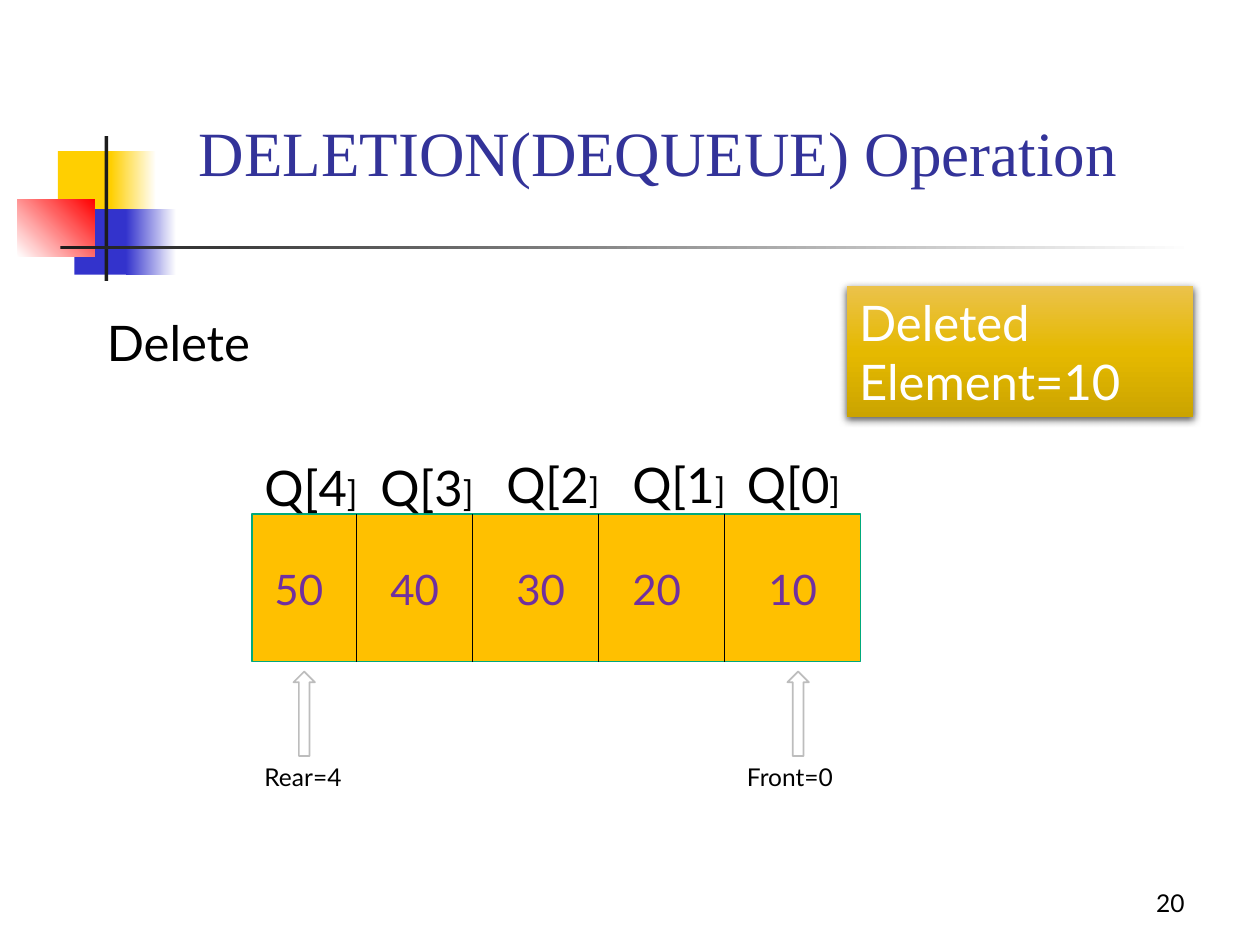
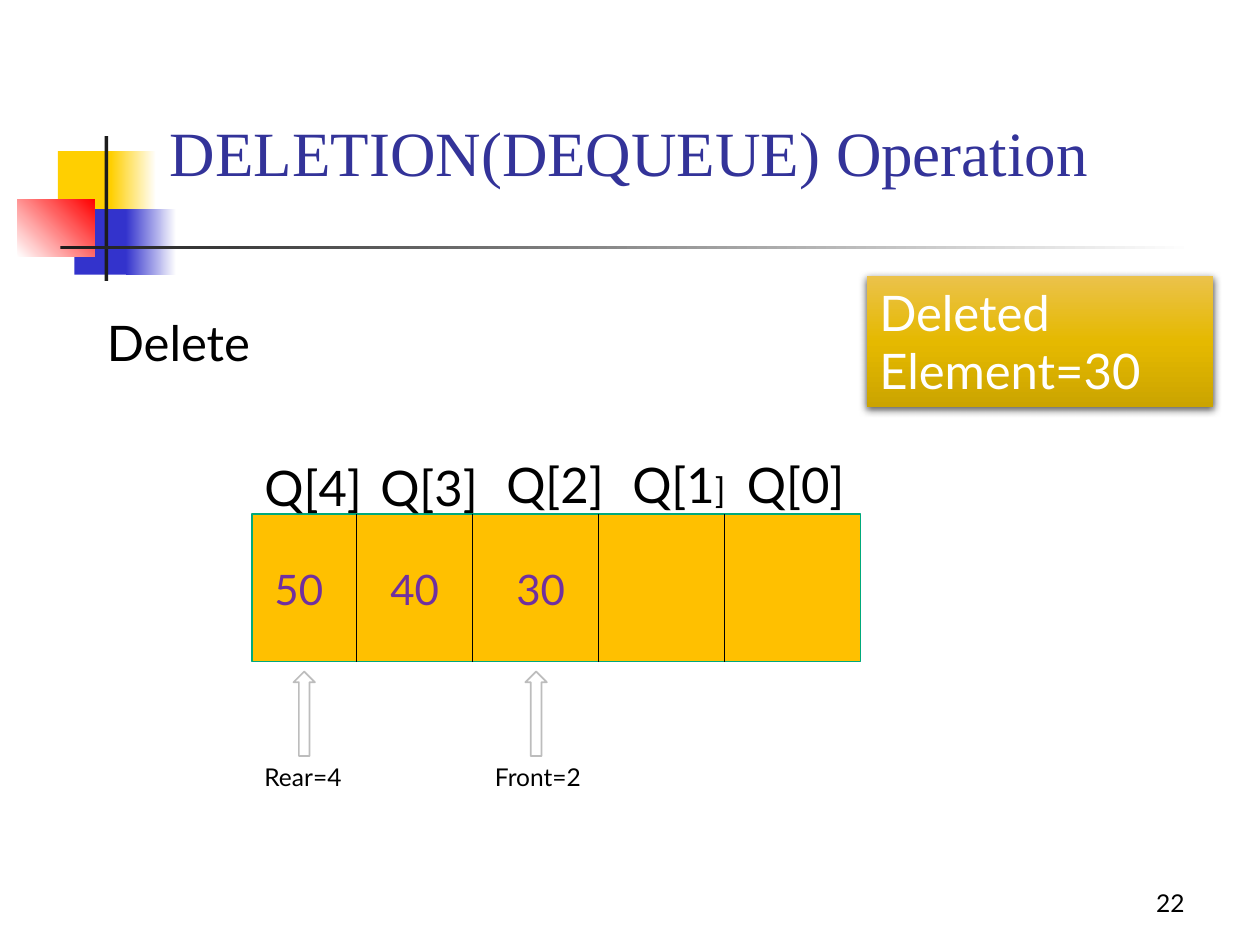
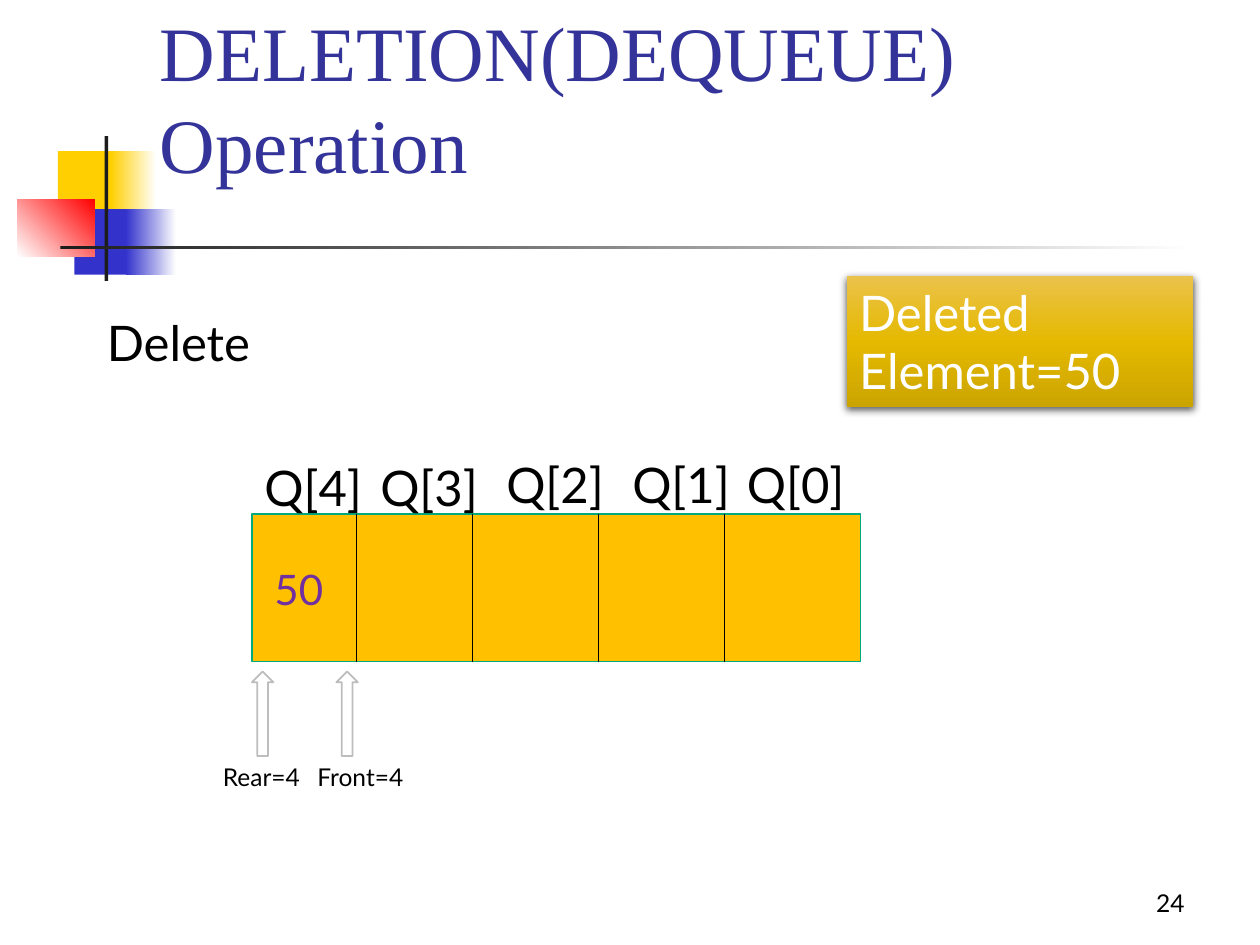
from copy import deepcopy

from lxml import etree
from pptx import Presentation
from pptx.dml.color import RGBColor
from pptx.enum.shapes import MSO_CONNECTOR, MSO_SHAPE
from pptx.enum.text import MSO_ANCHOR, PP_ALIGN
from pptx.oxml import parse_xml
from pptx.oxml.ns import nsdecls, qn
from pptx.util import Inches, Pt

BLACK = RGBColor(0x00, 0x00, 0x00)
WHITE = RGBColor(0xFF, 0xFF, 0xFF)
CHARCOAL = RGBColor(0x1C, 0x1C, 0x1C)
GREY = RGBColor(0xBD, 0xBD, 0xBD)
YELLOW = RGBColor(0xFF, 0xCF, 0x01)
BLUE = RGBColor(0x33, 0x33, 0xCC)
RED = RGBColor(0xFF, 0x00, 0x00)
TITLE_BLUE = RGBColor(0x33, 0x33, 0x99)
AMBER = RGBColor(0xFF, 0xC0, 0x00)
GREEN = RGBColor(0x00, 0xA9, 0x7C)
PURPLE = RGBColor(0x70, 0x30, 0xA0)
GOLD_LIGHT = RGBColor(0xEB, 0xC2, 0x4B)
GOLD = RGBColor(0xE5, 0xB9, 0x00)
GOLD_DARK = RGBColor(0xCB, 0xA4, 0x00)

BODY_FONT = "Lato"
TITLE_FONT = "Times New Roman"

# Left, top, width, height, colours from start to end, gradient angle
ORNAMENT = [
    (0.46, 1.2, 0.48, 0.52, [YELLOW], 0),
    (0.88, 1.2, 0.36, 0.52, [YELLOW, WHITE], 0),
    (0.59, 1.66, 0.46, 0.52, [BLUE], 0),
    (1, 1.66, 0.4, 0.52, [BLUE, WHITE], 0),
    (0.14, 1.58, 0.61, 0.46, [WHITE, RED], 45),
    (0.83, 1.08, 0.03, 1.15, [CHARCOAL], 0),
    (0.48, 1.95, 9, 0.03, [CHARCOAL, WHITE], 0),
]

QUEUE_LEFT, QUEUE_TOP, QUEUE_WIDTH, QUEUE_HEIGHT = 2, 4.08, 4.83, 1.17
DIVIDERS = [2.83, 3.75, 4.75, 5.75]

# Index, label left, label top, value left, value
CELLS = [
    (4, 2, 3.58, 2.08, 50),
    (3, 2.92, 3.58, 3, 40),
    (2, 3.92, 3.56, 4, 30),
    (1, 4.92, 3.56, 4.92, 20),
    (0, 5.83, 3.56, 6, 10),
]

STEPS = [
    dict(number=20, title_left=1.48, title_width=8.05, title_size=36, front=0, deleted=10,
         note=(6.72, 2.27), rear_left=2, front_left=5.83, front_arrow=6.25,
         shown=[50, 40, 30, 20, 10], small_brackets=[4, 3, 2, 1, 0]),
    dict(number=22, title_left=1.25, title_width=8.28, title_size=36, front=2, deleted=30,
         note=(6.88, 2.19), rear_left=2, front_left=3.83, front_arrow=4.17,
         shown=[50, 40, 30], small_brackets=[1]),
    dict(number=24, title_left=1.17, title_width=8.52, title_size=44, front=4, deleted=50,
         note=(6.72, 2.19), rear_left=1.67, front_left=2.42, front_arrow=2.67,
         shown=[50], small_brackets=[]),
]


def add_block(slide, left, top, width, height, colors, angle=0, line=None,
              preset=MSO_SHAPE.RECTANGLE):
    """Add a shape with a solid fill, or a gradient when several colours are given."""
    shape = slide.shapes.add_shape(
        preset, Inches(left), Inches(top), Inches(width), Inches(height))
    shape.shadow.inherit = False
    if len(colors) == 1:
        shape.fill.solid()
        shape.fill.fore_color.rgb = colors[0]
    else:
        shape.fill.gradient()
        shape.fill.gradient_angle = angle
        stop_list = shape._element.spPr.find(qn("a:gradFill")).find(qn("a:gsLst"))
        while len(stop_list) < len(colors):
            stop_list.append(deepcopy(stop_list[-1]))
        for index, (stop, color) in enumerate(zip(shape.fill.gradient_stops, colors)):
            stop.position = index / (len(colors) - 1)
            stop.color.rgb = color
    if line is None:
        shape.line.fill.background()
    else:
        shape.line.color.rgb = line
        shape.line.width = Pt(1)
    return shape


def add_text(slide, text, left=0, top=0, width=1, height=0.5, shape=None, size=28,
             font=BODY_FONT, color=BLACK, align=PP_ALIGN.LEFT, anchor=MSO_ANCHOR.TOP,
             small_end=""):
    """Write text in the given shape or a new box; small_end follows at 20 points."""
    if shape is None:
        shape = slide.shapes.add_textbox(
            Inches(left), Inches(top), Inches(width), Inches(height))
    frame = shape.text_frame
    frame.word_wrap = True
    frame.vertical_anchor = anchor
    paragraph = frame.paragraphs[0]
    paragraph.alignment = align
    for part, part_size in ((text, size), (small_end, 20)):
        if part:
            run = paragraph.add_run()
            run.text = part
            run.font.name = font
            run.font.size = Pt(part_size)
            run.font.color.rgb = color


presentation = Presentation()
presentation.slide_width = Inches(10)
presentation.slide_height = Inches(7.5)

for step in STEPS:
    slide = presentation.slides.add_slide(presentation.slide_layouts[6])
    for left, top, width, height, colors, angle in ORNAMENT:
        add_block(slide, left, top, width, height, colors, angle)

    # Queue and its dividers
    add_block(slide, QUEUE_LEFT, QUEUE_TOP, QUEUE_WIDTH, QUEUE_HEIGHT, [AMBER], line=GREEN)
    for x in DIVIDERS:
        divider = slide.shapes.add_connector(
            MSO_CONNECTOR.STRAIGHT, Inches(x), Inches(QUEUE_TOP),
            Inches(x), Inches(QUEUE_TOP + QUEUE_HEIGHT))
        divider.line.color.rgb = BLACK
        divider.line.width = Pt(0.5)
        etree.SubElement(divider._element.spPr, qn("a:effectLst"))

    # Front and rear pointers
    pointers = [
        (f"Front={step['front']}", step["front_left"], step["front_arrow"]),
        ("Rear=4", step["rear_left"], step["rear_left"] + 0.33),
    ]
    for label, label_left, arrow_left in pointers:
        add_block(slide, arrow_left, 5.33, 0.17, 0.67, [WHITE], line=GREY,
                  preset=MSO_SHAPE.UP_ARROW)
        add_text(slide, label, label_left, 6, 0.92, 0.34, size=14)

    # Cell labels and the values still in the queue
    for index, label_left, label_top, value_left, value in CELLS:
        small = index in step["small_brackets"]
        add_text(slide, f"Q[{index}" if small else f"Q[{index}]", label_left, label_top,
                 1.1, 0.57, small_end="]" if small else "")
        if value in step["shown"]:
            add_text(slide, str(value), value_left, 4.42, 0.67, 0.5, size=24, color=PURPLE)

    add_text(slide, "Delete", 0.75, 2.43, 1.5, 0.57)

    # Note with the deleted element
    note = add_block(slide, *step["note"], 2.75, 1.04, [GOLD_LIGHT, GOLD, GOLD_DARK], 270)
    note._element.spPr.find(qn("a:effectLst")).append(parse_xml(
        f'<a:outerShdw {nsdecls("a")} blurRad="{Pt(4.5)}" dist="{Pt(1.5)}" dir="5400000" '
        'rotWithShape="0"><a:srgbClr val="000000"><a:alpha val="63000"/></a:srgbClr>'
        '</a:outerShdw>'))
    add_text(slide, f"Deleted Element={step['deleted']}", shape=note, color=WHITE)

    add_text(slide, str(step["number"]), 7.17, 6.83, 2.33, 0.5, size=14,
             align=PP_ALIGN.RIGHT, anchor=MSO_ANCHOR.BOTTOM)
    add_text(slide, "DELETION(DEQUEUE) Operation", step["title_left"], 0.13,
             step["title_width"], 1.42, size=step["title_size"], font=TITLE_FONT,
             color=TITLE_BLUE, anchor=MSO_ANCHOR.BOTTOM)

presentation.save("out.pptx")
